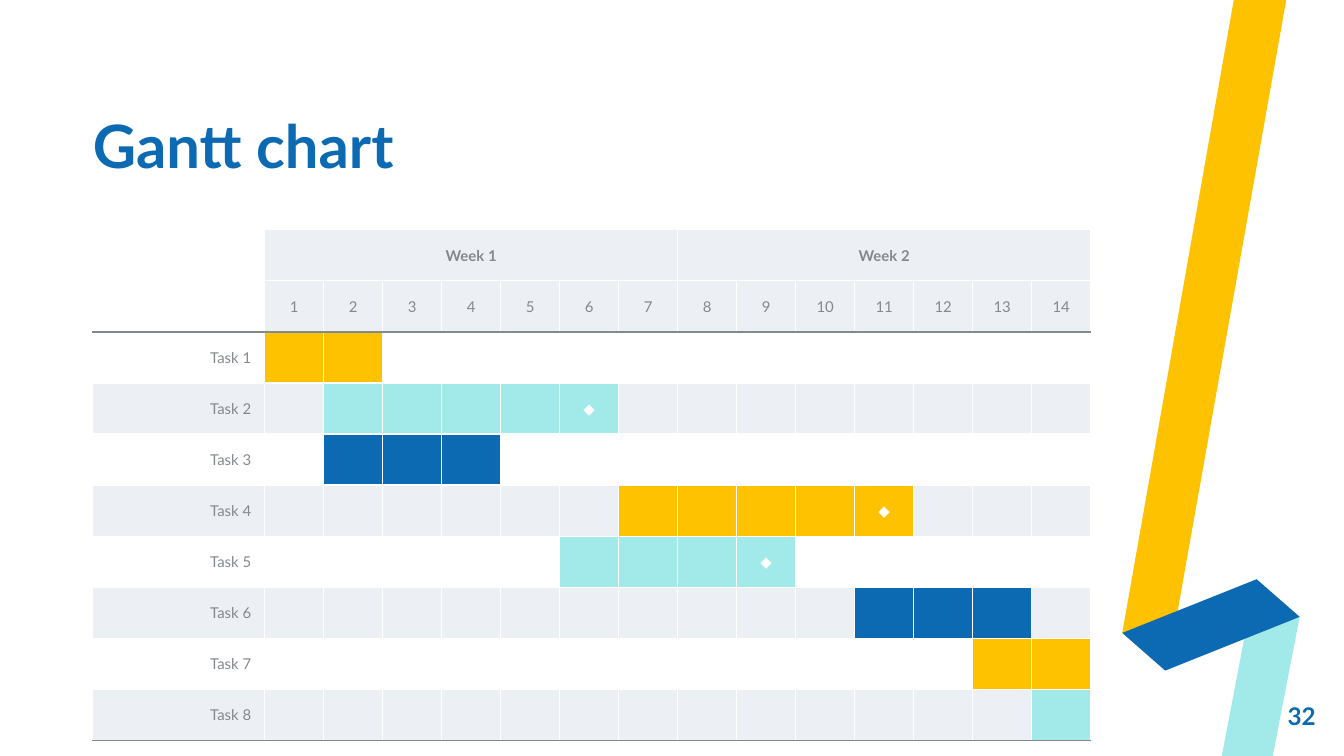
from lxml.etree import SubElement
from pptx import Presentation
from pptx.dml.color import RGBColor
from pptx.enum.text import MSO_ANCHOR, MSO_AUTO_SIZE, PP_ALIGN
from pptx.oxml.ns import qn
from pptx.util import Inches, Pt

WIDTH, HEIGHT = 10, 10 * 9 / 16
FONT = "Lato"
COLORS = {"yellow": "FEC200", "aqua": "A2EAE9", "blue": "0B6AB1",
          "band": "ECEFF3", "gray": "84898D", "white": "FFFFFF"}

# Grid: one label column and 14 days; two header rows and 8 tasks
LEFT, TOP = 0.69, 1.71
LABEL_W, DAYS_W, ROW_H = 1.28, 6.15, 0.38
WEEKS, WEEK_DAYS, HEADER_ROWS = 2, 7, 2
DAYS = WEEKS * WEEK_DAYS

# First day, last day, colour, milestone day
TASKS = [
    (1, 2, "yellow", None),
    (2, 6, "aqua", 6),
    (2, 4, "blue", None),
    (7, 11, "yellow", 11),
    (6, 9, "aqua", 9),
    (11, 13, "blue", None),
    (13, 14, "yellow", None),
    (14, 14, "aqua", None),
]

RIBBON = [
    ("yellow", [(9.18, 0), (9.57, 0), (8.76, 4.56), (8.35, 4.71)]),
    ("aqua", [(9.09, HEIGHT), (9.26, 4.74), (9.67, 4.59), (9.47, HEIGHT)]),
    ("blue", [(8.35, 4.71), (9.35, 4.31), (9.67, 4.59), (8.67, 4.99)]),
]


def rgb(name):
    return RGBColor.from_string(COLORS[name])


def write(tf, text, size, color, align, bold=False):
    tf.text = text
    p = tf.paragraphs[0]
    p.alignment = align
    for r in p.runs:
        r.font.name, r.font.size, r.font.bold = FONT, Pt(size), bold
        r.font.color.rgb = rgb(color)
    return p


def set_frame(tf, anchor):
    tf.margin_left = tf.margin_right = tf.margin_top = tf.margin_bottom = 0
    tf.word_wrap = True
    tf.auto_size = MSO_AUTO_SIZE.NONE
    tf.vertical_anchor = anchor


def add_band(s, color, points):
    corners = [(Inches(x), Inches(y)) for x, y in points]
    builder = s.shapes.build_freeform(*corners[0])
    builder.add_line_segments(corners[1:], close=True)
    sp = builder.convert_to_shape()
    sp.shadow.inherit = False
    sp.fill.solid()
    sp.fill.fore_color.rgb = rgb(color)
    sp.line.fill.background()


def add_title(s, text):
    sp = s.shapes.title
    sp.left, sp.top, sp.width, sp.height = map(Inches, (LEFT, 0.91, 5.77, 0.43))
    set_frame(sp.text_frame, MSO_ANCHOR.BOTTOM)
    p = write(sp.text_frame, text, 32, "blue", PP_ALIGN.LEFT, True)
    p.line_spacing = 0.8


def add_page_number(s, text):
    sp = s.shapes.add_textbox(*map(Inches, (9.19, 5.11, 0.6, 0.43)))
    set_frame(sp.text_frame, MSO_ANCHOR.MIDDLE)
    write(sp.text_frame, text, 13, "blue", PP_ALIGN.RIGHT, True)


def set_borders(cell, top, bottom):
    tc_pr = cell._tc.get_or_add_tcPr()
    sides = {"lnL": "white", "lnR": "white", "lnT": top, "lnB": bottom}
    for tag, color in sides.items():
        ln = SubElement(tc_pr, qn(f"a:{tag}"), w=str(Pt(0.75)))
        fill = SubElement(ln, qn("a:solidFill"))
        SubElement(fill, qn("a:srgbClr"), val=COLORS[color])


def format_cell(cell, text="", fill=None, color="gray", align=PP_ALIGN.CENTER,
                bold=False, top="white", bottom="white"):
    set_borders(cell, top, bottom)
    if fill:
        cell.fill.solid()
        cell.fill.fore_color.rgb = rgb(fill)
    else:
        cell.fill.background()
    cell.vertical_anchor = MSO_ANCHOR.MIDDLE
    p = write(cell.text_frame, text, 8, color, align, bold)
    if not text:  # keeps an empty cell from stretching its row
        SubElement(p._p, qn("a:endParaRPr"), sz="800")


def add_gantt(s):
    rows = HEADER_ROWS + len(TASKS)
    frame = s.shapes.add_table(rows, 1 + DAYS, Inches(LEFT), Inches(TOP),
                               Inches(LABEL_W + DAYS_W), Inches(rows * ROW_H))
    table = frame.table
    table.first_row = table.horz_banding = False
    for c, column in enumerate(table.columns):
        column.width = Inches(DAYS_W / DAYS if c else LABEL_W)

    # Header: weeks over days
    format_cell(table.cell(0, 0))
    format_cell(table.cell(1, 0), bottom="gray")
    for day in range(1, DAYS + 1):
        week, offset = divmod(day - 1, WEEK_DAYS)
        title = "" if offset else f"Week {week + 1}"
        format_cell(table.cell(0, day), title, "band", bold=True)
        format_cell(table.cell(1, day), str(day), "band", bottom="gray")
    for first in range(1, DAYS + 1, WEEK_DAYS):
        table.cell(0, first).merge(table.cell(0, first + WEEK_DAYS - 1))

    # Task rows, every second one banded
    for i, (start, end, color, milestone) in enumerate(TASKS):
        row = HEADER_ROWS + i
        band = "band" if i % 2 else None
        edges = {"top": "white" if i else "gray",
                 "bottom": "gray" if row == rows - 1 else "white"}
        format_cell(table.cell(row, 0), f"Task {i + 1}", band,
                    align=PP_ALIGN.RIGHT, **edges)
        for day in range(1, DAYS + 1):
            format_cell(table.cell(row, day), "◆" if day == milestone else "",
                        color if start <= day <= end else band, "white", **edges)


def main():
    prs = Presentation()
    prs.slide_width, prs.slide_height = Inches(WIDTH), Inches(HEIGHT)
    s = prs.slides.add_slide(prs.slide_layouts[5])
    for color, points in RIBBON:
        add_band(s, color, points)
    add_title(s, "Gantt chart")
    add_page_number(s, "32")
    add_gantt(s)
    prs.save("out.pptx")


if __name__ == "__main__":
    main()
